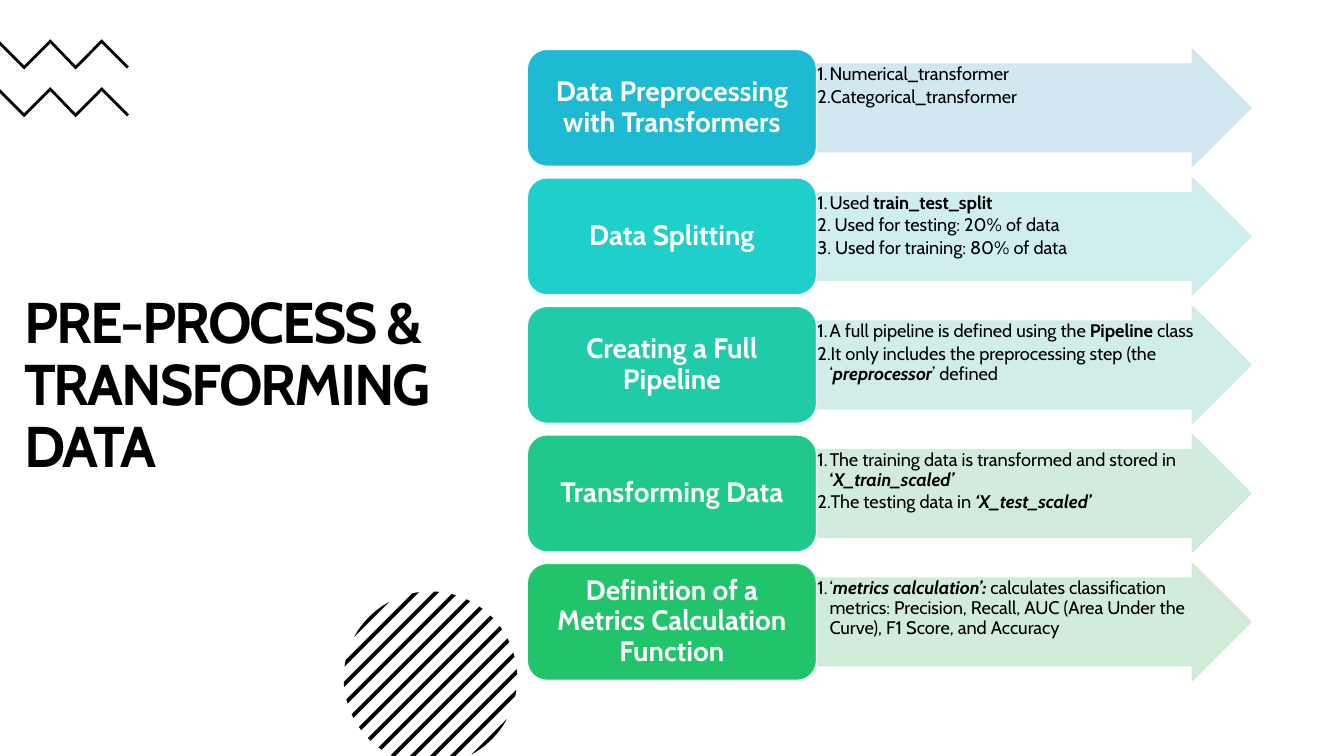
import dataclasses
import math

import lxml.etree
import pptx
import pptx.dml.color
import pptx.enum.shapes
import pptx.enum.text
import pptx.oxml.ns
import pptx.util

RGB = pptx.dml.color.RGBColor
KIND = pptx.enum.shapes.MSO_SHAPE
ANCHOR = pptx.enum.text.MSO_ANCHOR
ALIGN = pptx.enum.text.PP_ALIGN

BLACK = RGB(0x00, 0x00, 0x00)
WHITE = RGB(0xFF, 0xFF, 0xFF)
FONT = "Cabin"

# Grid: one hundred columns by one hundred rows
WIDE = pptx.util.Inches(13.33)
HIGH = pptx.util.Inches(7.5)
COL = WIDE / 100
ROW = HIGH / 100


@dataclasses.dataclass(frozen=True)
class Box:
    """A place on the grid, in columns and rows."""
    left: float
    top: float
    wide: float
    high: float

    def down(self, rows: float) -> "Box":
        return dataclasses.replace(self, top=self.top + rows)

    def emu(self) -> tuple[int, int, int, int]:
        return (round(self.left * COL), round(self.top * ROW),
                round(self.wide * COL), round(self.high * ROW))


@dataclasses.dataclass(frozen=True)
class Run:
    text: str
    bold: bool = False
    slant: bool = False


@dataclasses.dataclass(frozen=True)
class Step:
    label: str
    dark: RGB
    pale: RGB
    items: list[list[Run]]


TITLE = Box(1.05, 14.13, 33.9, 74.13)
CARD = Box(39.23, 6.53, 21.53, 15.47)
ARROW = Box(60.75, 6.53, 32.33, 15.47)
LIST = Box(60.75, 8.47, 29.1, 11.6)
PITCH = 17

STEPS = [
    Step("Data Preprocessing with Transformers",
         RGB(0x1E, 0xB9, 0xD3), RGB(0xCD, 0xE6, 0xEF),
         [[Run("Numerical_transformer")], [Run("Categorical_transformer")]]),
    Step("Data Splitting", RGB(0x1F, 0xCF, 0xCA), RGB(0xCD, 0xED, 0xED),
         [[Run("Used "), Run("train_test_split", True)],
          [Run(" Used for testing: 20% of data")],
          [Run(" Used for training: 80% of data")]]),
    Step("Creating a Full Pipeline",
         RGB(0x20, 0xCB, 0xA9), RGB(0xCD, 0xEC, 0xE5),
         [[Run("A full pipeline is defined using the "),
           Run("Pipeline ", True), Run("class")],
          [Run("It only includes the preprocessing step (the ‘"),
           Run("preprocessor", True, True), Run("’ defined")]]),
    Step("Transforming Data", RGB(0x20, 0xC8, 0x89), RGB(0xCD, 0xEB, 0xDC),
         [[Run("The training data is transformed and stored in "),
           Run("‘", True), Run("X_train_scaled’", True, True)],
          [Run("The testing data in "), Run("‘X_test_scaled’", True, True)]]),
    Step("Definition of a Metrics Calculation Function",
         RGB(0x21, 0xC4, 0x6B), RGB(0xCD, 0xEA, 0xD4),
         [[Run("‘"), Run("metrics calculation’: ", True, True),
           Run("calculates classification metrics: Precision, Recall, "
               "AUC (Area Under the Curve), F1 Score, and Accuracy")]]),
]

# Zigzag outline, in columns and rows
ZIGZAG = [(3.75, 5.2), (5.63, 8.67), (7.57, 5.2), (9.6, 8.8), (9.45, 9.07),
          (7.57, 5.73), (5.63, 9.2), (3.75, 5.73), (1.8, 9.2), (0, 6),
          (0, 5.47), (1.8, 8.67)]
ZIGGAP = 6.33

# Striped disc, both ways in columns
DISC_X, DISC_Y, RADIUS = 32.03, 50.47, 6.45
BANDS, BANDGAP, BAND = 13, 1.49, 0.41
ARCS = 8


def place(shape, box: Box) -> None:
    shape.left, shape.top, shape.width, shape.height = box.emu()


def frame(shape, anchor, side: float, edge: float):
    """Prepare the text frame, with margins in inches."""
    text = shape.text_frame
    text.word_wrap = True
    text.auto_size = pptx.enum.text.MSO_AUTO_SIZE.NONE
    text.vertical_anchor = anchor
    text.margin_left = text.margin_right = pptx.util.Inches(side)
    text.margin_top = text.margin_bottom = pptx.util.Inches(edge)
    return text


def style(para, size: float, color: RGB, align, after: float = 0) -> None:
    para.alignment = align
    para.line_spacing = 0.9
    para.space_before = pptx.util.Pt(0)
    para.space_after = pptx.util.Pt(after)
    para.font.name = FONT
    para.font.size = pptx.util.Pt(size)
    para.font.color.rgb = color


def outline(slide, points: list[tuple[float, float]]) -> None:
    """Draw a closed black outline through points in EMU."""
    pen = slide.shapes.build_freeform(*points[0])
    pen.add_line_segments(points[1:], close=True)
    shape = pen.convert_to_shape()
    shape.shadow.inherit = False
    shape.fill.solid()
    shape.fill.fore_color.rgb = BLACK
    shape.line.fill.background()


def chord(shift: float, side: int) -> tuple[float, float]:
    """End of the diagonal chord at a shift, cut at the slide's foot."""
    total = DISC_X + DISC_Y + shift
    off = shift / math.sqrt(2)
    half = math.sqrt(max(0, RADIUS ** 2 - off ** 2))
    y = min(DISC_Y + (off - side * half) / math.sqrt(2), HIGH / COL)
    return round((total - y) * COL), round(y * COL)


def disc(slide) -> None:
    reach = RADIUS * math.sqrt(2)
    for band in range(BANDS):
        mid = (band - BANDS // 2) * BANDGAP
        low, high = max(mid - BAND / 2, -reach), min(mid + BAND / 2, reach)
        cuts = [low + (high - low) * n / ARCS for n in range(ARCS + 1)]
        outline(slide, [chord(cut, -1) for cut in cuts]
                + [chord(cut, 1) for cut in reversed(cuts)])


def block(slide, kind, box: Box, fill: RGB, line: RGB):
    shape = slide.shapes.add_shape(kind, *box.emu())
    shape.shadow.inherit = False
    shape.fill.solid()
    shape.fill.fore_color.rgb = fill
    shape.line.color.rgb = line
    shape.line.width = pptx.util.Pt(1)
    return shape


def number(para) -> None:
    """Give the paragraph a hanging number."""
    props = para._p.get_or_add_pPr()
    hang = pptx.util.Inches(0.12)
    props.set("marL", str(hang))
    props.set("indent", str(-hang))
    mark = lxml.etree.SubElement(props, pptx.oxml.ns.qn("a:buAutoNum"))
    mark.set("type", "arabicPeriod")


def fade(shape, share: int) -> None:
    """Set the opacity of fill and line, in percent."""
    for color in shape._element.spPr.iter(pptx.oxml.ns.qn("a:srgbClr")):
        alpha = lxml.etree.SubElement(color, pptx.oxml.ns.qn("a:alpha"))
        alpha.set("val", str(share * 1000))


def draw(slide, body, step: Step, drop: float) -> None:
    # Arrow behind the list
    arrow = block(slide, KIND.RIGHT_ARROW, ARROW.down(drop),
                  step.pale, step.pale)
    arrow.adjustments[0] = 0.75
    fade(arrow, 90)

    # Numbered list
    slide.shapes.clone_placeholder(body)
    shape = slide.shapes[-1]
    place(shape, LIST.down(drop))
    text = frame(shape, ANCHOR.TOP, 0.01, 0.01)
    for rank, item in enumerate(step.items):
        para = text.add_paragraph() if rank else text.paragraphs[0]
        number(para)
        style(para, 13, BLACK, ALIGN.LEFT, 2)
        for part in item:
            run = para.add_run()
            run.text = part.text
            run.font.bold, run.font.italic = part.bold, part.slant

    # Card with the label
    card = block(slide, KIND.ROUNDED_RECTANGLE, CARD.down(drop),
                 step.dark, WHITE)
    text = frame(card, ANCHOR.MIDDLE, 0.08, 0.04)
    text.text = step.label
    style(text.paragraphs[0], 20, WHITE, ALIGN.CENTER)
    text.paragraphs[0].font.bold = True


def main() -> None:
    deck = pptx.Presentation()
    deck.slide_width, deck.slide_height = WIDE, HIGH
    layout = deck.slide_layouts[1]
    slide = deck.slides.add_slide(layout)
    slide.background.fill.solid()
    slide.background.fill.fore_color.rgb = WHITE

    # Each step gets its own body, so the first empty one goes
    spare = slide.placeholders[1]._element
    spare.getparent().remove(spare)

    # Ornaments
    disc(slide)
    for drop in (0, ZIGGAP):
        outline(slide, [(round(x * COL), round((y + drop) * ROW))
                        for x, y in ZIGZAG])

    # Title
    title = slide.shapes.title
    place(title, TITLE)
    text = frame(title, ANCHOR.MIDDLE, 0.1, 0.05)
    text.text = "PRE-PROCESS & TRANSFORMING DATA"
    para = text.paragraphs[0]
    style(para, 41, BLACK, ALIGN.LEFT)
    para.font.bold = True
    para.runs[0]._r.get_or_add_rPr().set("spc", "-150")

    # Steps
    for rank, step in enumerate(STEPS):
        draw(slide, layout.placeholders[1], step, rank * PITCH)
    deck.save("out.pptx")


if __name__ == "__main__":
    main()
